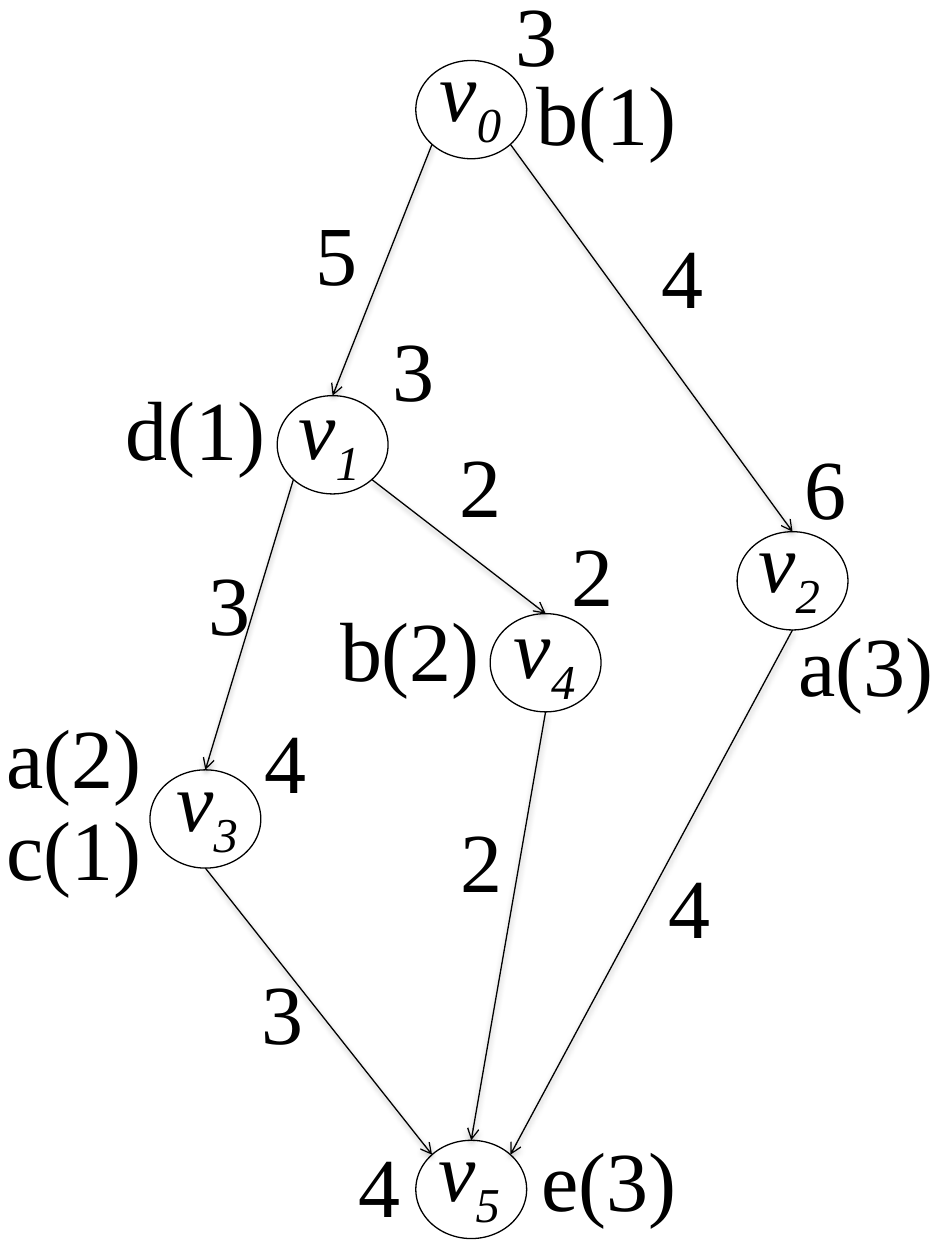
import math

import pptx
import pptx.dml.color
import pptx.enum.shapes
import pptx.enum.text
import pptx.oxml
import pptx.oxml.ns
import pptx.util

Inches = pptx.util.Inches
COLORS = {"ink": "000000"}
NODE_W, NODE_H = 0.88, 0.78
TEXT_H = 0.91
DIAGONAL = math.sqrt(0.5)

# Unit directions from a node's centre to the sites where edges attach
SITES = {
    "top": (0, -1),
    "bottom": (0, 1),
    "top left": (-DIAGONAL, -DIAGONAL),
    "top right": (DIAGONAL, -DIAGONAL),
    "bottom left": (-DIAGONAL, DIAGONAL),
    "bottom right": (DIAGONAL, DIAGONAL),
}


class GraphSlide:
    font = "Times New Roman"
    size = pptx.util.Pt(48)
    line_width = pptx.util.Pt(0.75)
    ink = pptx.dml.color.RGBColor.from_string(COLORS["ink"])

    def __init__(self, slide):
        self.slide = slide

    def text(self, left, top, width, content, subscript="", parent=None):
        shapes = (parent or self.slide).shapes
        box = shapes.add_textbox(Inches(left), Inches(top), Inches(width), Inches(TEXT_H))
        frame = box.text_frame
        frame.word_wrap = False
        frame.auto_size = pptx.enum.text.MSO_AUTO_SIZE.SHAPE_TO_FIT_TEXT
        paragraph = frame.paragraphs[0]
        paragraph.add_run().text = content
        if subscript:
            run = paragraph.add_run()
            run.text = subscript
            run._r.get_or_add_rPr().set("baseline", "-25000")
        paragraph.font.name = self.font
        paragraph.font.size = self.size
        paragraph.font.color.rgb = self.ink
        paragraph.font.italic = bool(subscript)

    def node(self, index, left, top, label_left, label_top):
        group = self.slide.shapes.add_group_shape()
        circle = group.shapes.add_shape(
            pptx.enum.shapes.MSO_SHAPE.OVAL,
            Inches(left), Inches(top), Inches(NODE_W), Inches(NODE_H))
        circle.shadow.inherit = False
        circle.fill.background()
        circle.line.color.rgb = self.ink
        circle.line.width = self.line_width
        self.text(label_left, label_top, 0.89, "v", str(index), parent=group)
        return circle

    def site(self, circle, name):
        dx, dy = SITES[name]
        return (round(circle.left + circle.width * (1 + dx) / 2),
                round(circle.top + circle.height * (1 + dy) / 2))

    def edge(self, source, source_site, target, target_site):
        arrow = self.slide.shapes.add_connector(
            pptx.enum.shapes.MSO_CONNECTOR.STRAIGHT,
            *self.site(source, source_site), *self.site(target, target_site))
        arrow.line.color.rgb = self.ink
        arrow.line.width = self.line_width
        if target_site == "top":
            arrow.end_connect(target, 0)
        # Open arrowhead and soft shadow below the line
        namespace = pptx.oxml.ns.nsdecls("a")
        arrow.line._get_or_add_ln().append(
            pptx.oxml.parse_xml(f'<a:tailEnd {namespace} type="arrow"/>'))
        arrow._element.spPr.append(pptx.oxml.parse_xml(
            f'<a:effectLst {namespace}><a:outerShdw blurRad="40000" dist="20000" '
            f'dir="5400000" rotWithShape="0"><a:srgbClr val="{COLORS["ink"]}">'
            '<a:alpha val="38000"/></a:srgbClr></a:outerShdw></a:effectLst>'))


def main():
    presentation = pptx.Presentation()
    presentation.slide_width = Inches(7.5)
    presentation.slide_height = Inches(10)
    graph = GraphSlide(presentation.slides.add_slide(presentation.slide_layouts[6]))

    # Nodes: circle left and top, label left and top
    node_places = [
        (3.3, 0.48, 3.39, 0.25),
        (2.2, 3.14, 2.27, 2.93),
        (5.85, 4.22, 5.92, 3.99),
        (1.19, 6.11, 1.3, 5.88),
        (3.89, 4.87, 3.98, 4.67),
        (3.3, 9.05, 3.38, 8.82),
    ]
    nodes = [graph.node(index, *place) for index, place in enumerate(node_places)]

    # Directed edges
    edges = [
        (0, "bottom left", 1, "top"),
        (0, "bottom right", 2, "top"),
        (1, "bottom right", 4, "top"),
        (1, "bottom left", 3, "top"),
        (3, "bottom", 5, "top left"),
        (4, "bottom", 5, "top"),
        (2, "bottom", 5, "top right"),
    ]
    for source, source_site, target, target_site in edges:
        graph.edge(nodes[source], source_site, nodes[target], target_site)

    # Node weights, v0 to v5
    node_weights = [
        ("3", 3.99, -0.19), ("3", 3.02, 2.47), ("6", 6.29, 3.41),
        ("4", 2, 5.58), ("2", 4.44, 4.1), ("4", 2.75, 8.95),
    ]
    # Edge weights, in the order of the edges
    edge_weights = [
        ("5", 2.41, 1.55), ("4", 5.15, 1.73), ("2", 3.55, 3.39), ("3", 1.56, 4.33),
        ("3", 1.98, 7.57), ("2", 3.56, 6.37), ("4", 5.21, 6.73),
    ]
    for weight, left, top in node_weights + edge_weights:
        graph.text(left, top, 0.54, weight)

    # Resource demands beside the nodes
    demands = [
        ("b(1)", 4.16, 0.44, 1.32), ("d(1)", 0.9, 2.94, 1.32),
        ("a(3)", 6.24, 4.81, 1.29), ("a(2)", -0.05, 5.54, 1.29),
        ("c(1)", -0.05, 6.27, 1.29), ("b(2)", 2.6, 4.69, 1.32),
        ("e(3)", 4.2, 8.9, 1.29),
    ]
    for demand, left, top, width in demands:
        graph.text(left, top, width, demand)

    presentation.save("out.pptx")


if __name__ == "__main__":
    main()
